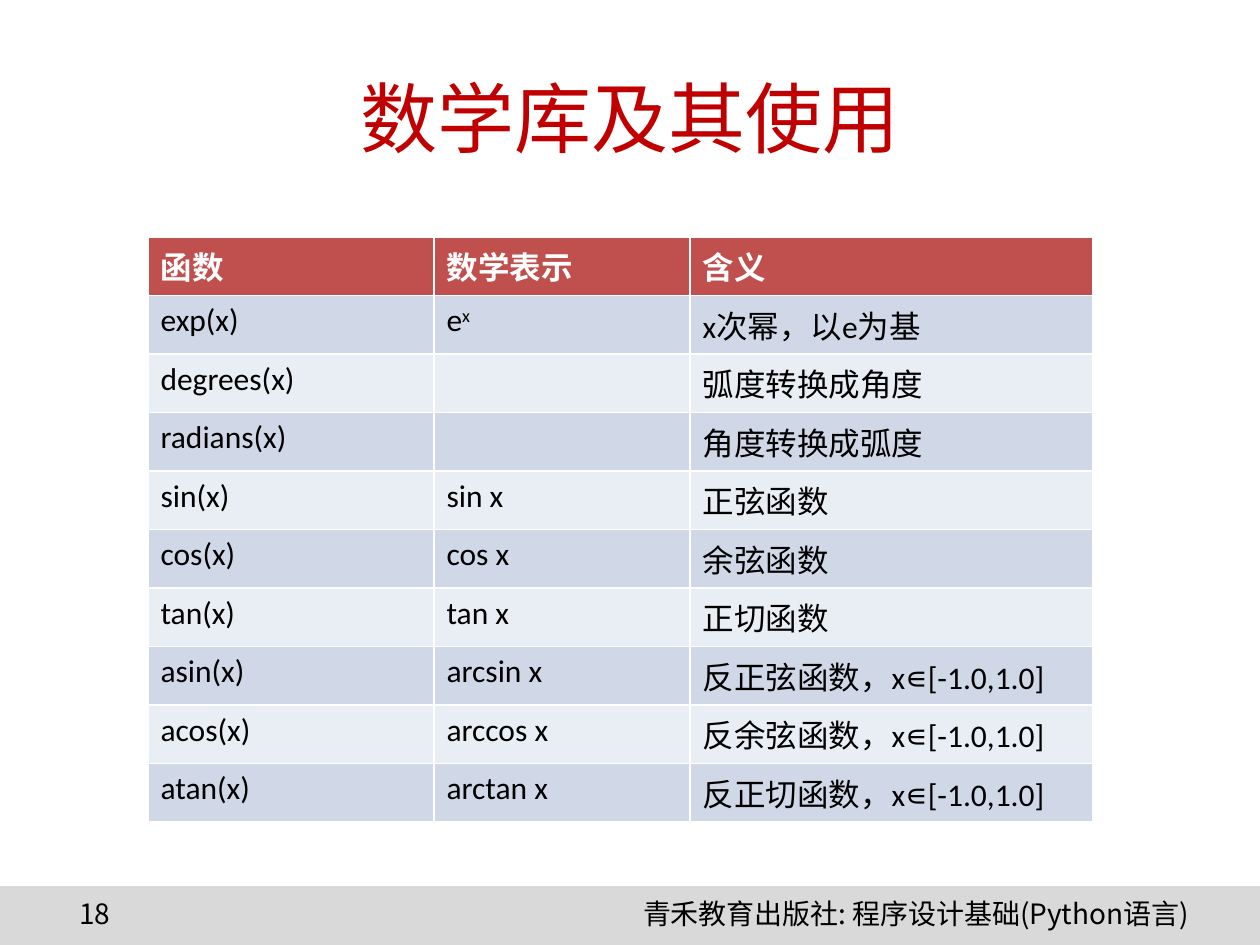
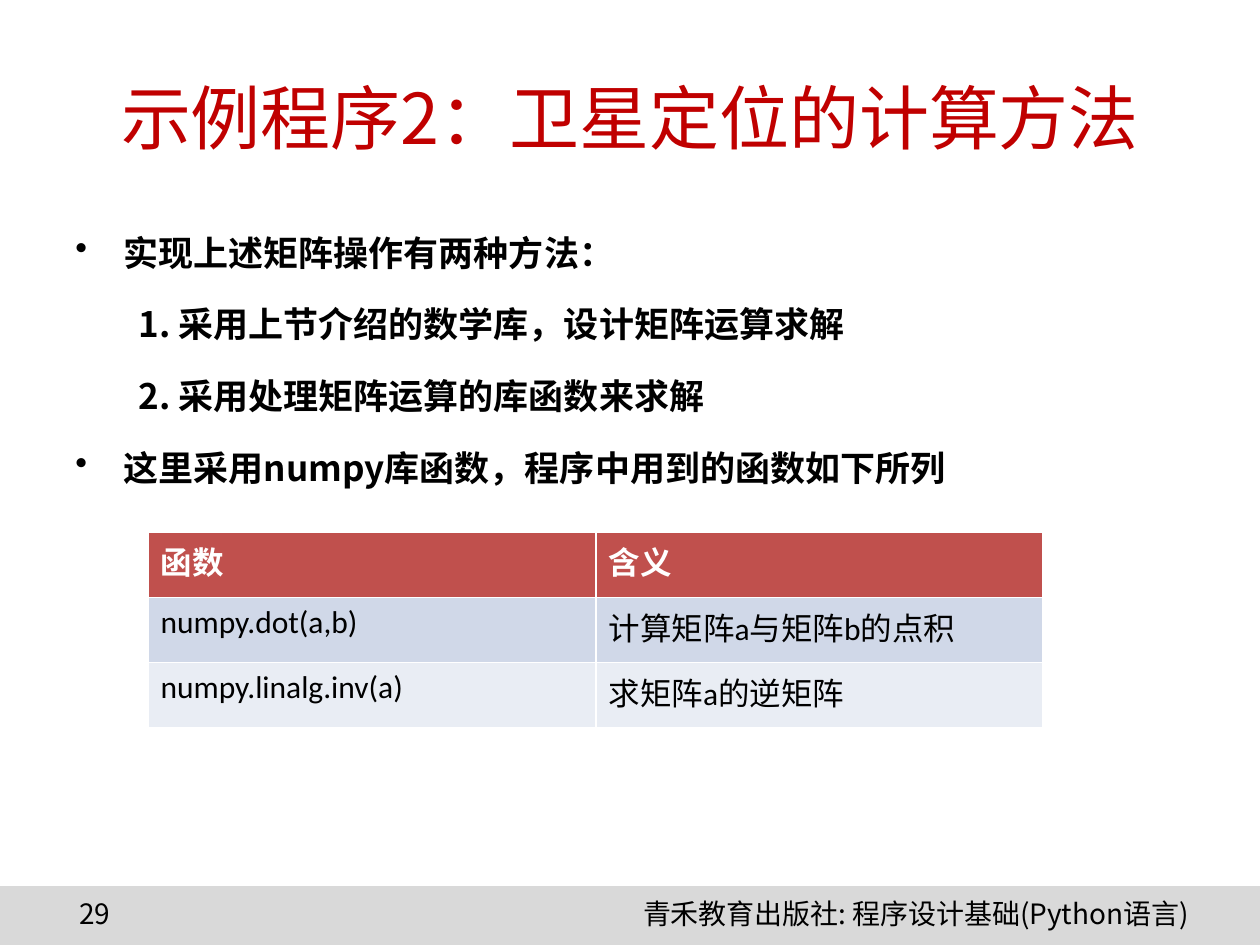
from lxml import etree
from pptx import Presentation
from pptx.dml.color import RGBColor
from pptx.enum import shapes, text
from pptx.oxml import ns
from pptx import util as u

SCALE = 914400 / 126
SANS = "Noto Sans CJK SC"
RED = RGBColor(0xC0, 0x00, 0x00)
HEAD = RGBColor(0xC0, 0x50, 0x4D)
BANDS = [RGBColor(0xE9, 0xED, 0xF4), RGBColor(0xD0, 0xD8, 0xE8)]
GRAY = RGBColor(0xD9, 0xD9, 0xD9)
BLACK = RGBColor(0, 0, 0)
WHITE = RGBColor(255, 255, 255)
LEFT, CENTER, RIGHT = text.PP_ALIGN.LEFT, text.PP_ALIGN.CENTER, text.PP_ALIGN.RIGHT
FOOTER = "青禾教育出版社: 程序设计基础(Python语言)"


def px(*sizes):
    return [u.Emu(round(size * SCALE)) for size in sizes]


def write(slide, place, lines, size, color, align=LEFT, bold=False):
    frame = slide.shapes.add_textbox(*px(*place)).text_frame
    frame.word_wrap = True
    frame.text = "\n".join(lines)
    for par in frame.paragraphs:
        par.alignment = align
        for run in par.runs:
            run.font.size = u.Pt(size)
            run.font.name = SANS
            run.font.bold = bold
            run.font.color.rgb = color
            east = etree.SubElement(run._r.get_or_add_rPr(), ns.qn("a:ea"))
            east.set("typeface", SANS)
    return frame


pages = [
    {
        "number": "18", "title": "数学库及其使用", "size": 44, "points": [],
        "place": (148, 237, 945, 585), "cols": (286, 256, 403),
        "rows": [
            ("函数", "数学表示", "含义"),
            ("exp(x)", "e^x", "x次幂，以e为基"),
            ("degrees(x)", "", "弧度转换成角度"),
            ("radians(x)", "", "角度转换成弧度"),
            ("sin(x)", "sin x", "正弦函数"),
            ("cos(x)", "cos x", "余弦函数"),
            ("tan(x)", "tan x", "正切函数"),
            ("asin(x)", "arcsin x", "反正弦函数，x∊[-1.0,1.0]"),
            ("acos(x)", "arccos x", "反余弦函数，x∊[-1.0,1.0]"),
            ("atan(x)", "arctan x", "反正切函数，x∊[-1.0,1.0]"),
        ],
    },
    {
        "number": "29", "title": "示例程序2：卫星定位的计算方法", "size": 40,
        "points": [
            (0, "实现上述矩阵操作有两种方法："),
            (1, "1. 采用上节介绍的数学库，设计矩阵运算求解"),
            (1, "2. 采用处理矩阵运算的库函数来求解"),
            (0, "这里采用numpy库函数，程序中用到的函数如下所列"),
        ],
        "place": (148, 532, 895, 196), "cols": (448, 447),
        "rows": [
            ("函数", "含义"),
            ("numpy.dot(a,b)", "计算矩阵a与矩阵b的点积"),
            ("numpy.linalg.inv(a)", "求矩阵a的逆矩阵"),
        ],
    },
]

deck = Presentation()
deck.slide_width, deck.slide_height = px(1260, 945)

for page in pages:
    slide = deck.slides.add_slide(deck.slide_layouts[6])
    band = slide.shapes.add_shape(shapes.MSO_SHAPE.RECTANGLE, *px(0, 886, 1260, 59))
    band.shadow.inherit = False
    band.fill.solid()
    band.fill.fore_color.rgb = GRAY
    band.line.fill.background()
    write(slide, (410, 890, 791, 50), [FOOTER], 16, BLACK, RIGHT)
    write(slide, (67, 890, 171, 50), [page["number"]], 16, BLACK)
    title = write(slide, (63, 38, 1134, 157), [page["title"]], page["size"], RED, CENTER)
    title.vertical_anchor = text.MSO_ANCHOR.MIDDLE

    if page["points"]:
        lines = [line for level, line in page["points"]]
        body = write(slide, (63, 204, 1134, 650), lines, 20, BLACK, bold=True)
        for i, (par, (level, line)) in enumerate(zip(body.paragraphs, page["points"])):
            par.level = level
            par.line_spacing = 1.5
            par.space_before = u.Pt(5 if i else 0)
            margin, indent = px(102, -39) if level else px(48, -48)
            props = par._p.get_or_add_pPr()
            props.set("marL", str(margin))
            props.set("indent", str(indent))
            if level == 0:
                etree.SubElement(props, ns.qn("a:buChar")).set("char", "•")

    rows, cols = page["rows"], page["cols"]
    table = slide.shapes.add_table(len(rows), len(cols), *px(*page["place"])).table
    for col, width in zip(table.columns, px(*cols)):
        col.width = width
    for r, row in enumerate(rows):
        for c, word in enumerate(row):
            cell = table.cell(r, c)
            cell.fill.solid()
            cell.fill.fore_color.rgb = BANDS[r % 2] if r else HEAD
            par = cell.text_frame.paragraphs[0]
            par.font.size = u.Pt(18)
            for k, part in enumerate(word.split("^") if word else []):
                run = par.add_run()
                run.text = part
                run.font.size = u.Pt(18)
                run.font.name = "Calibri"
                run.font.bold = r == 0
                run.font.color.rgb = BLACK if r else WHITE
                if k:
                    run._r.get_or_add_rPr().set("baseline", "30000")

deck.save("out.pptx")
